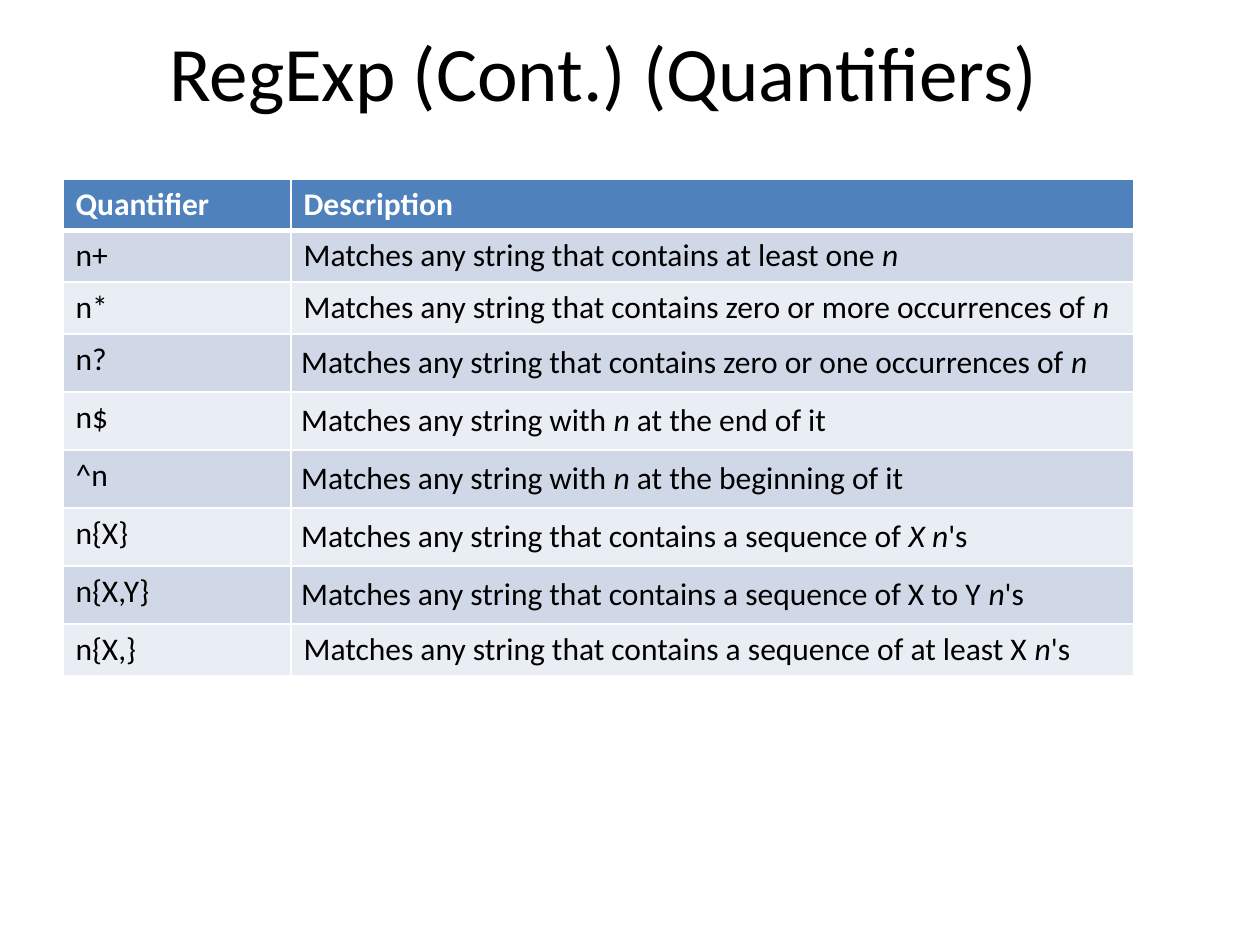
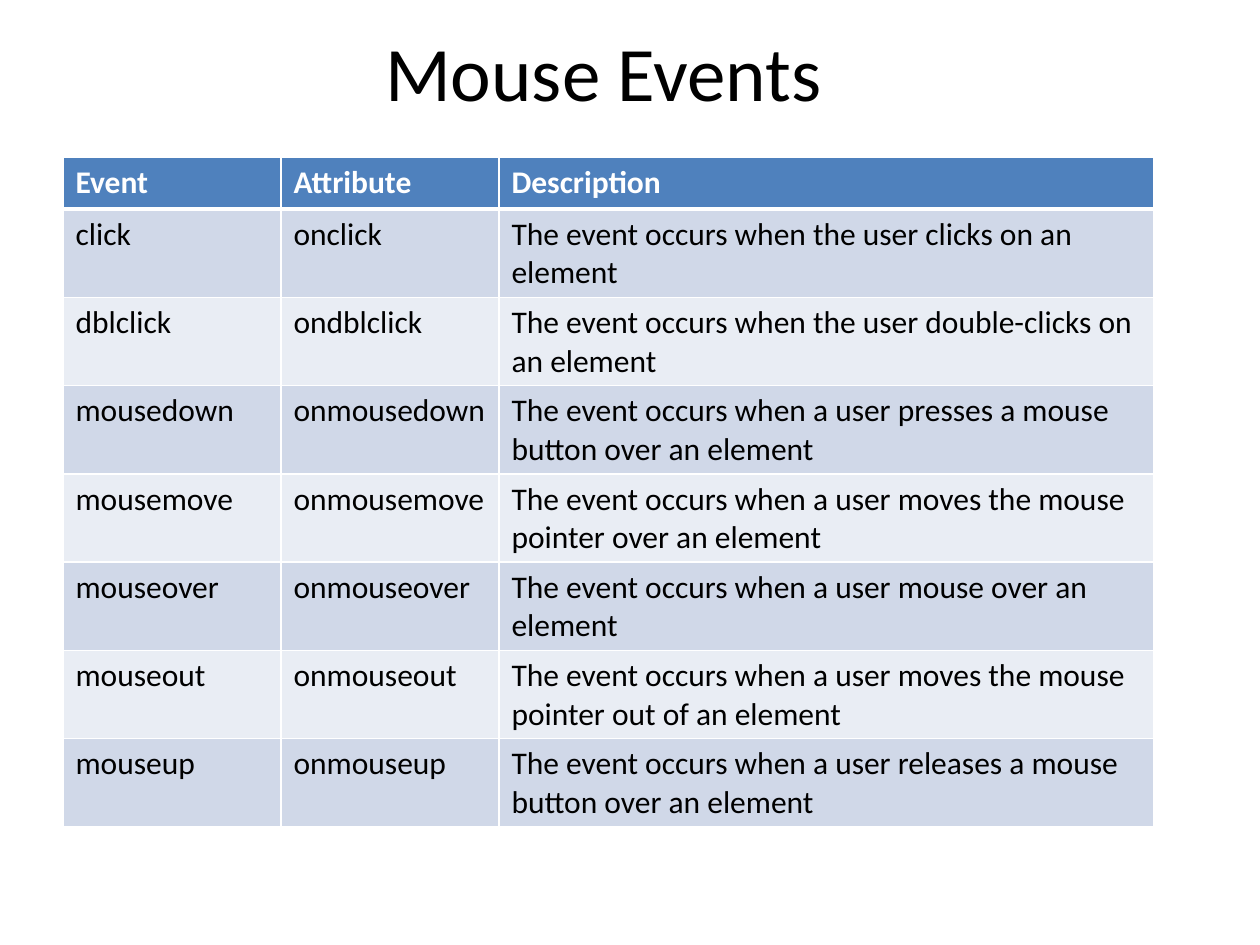
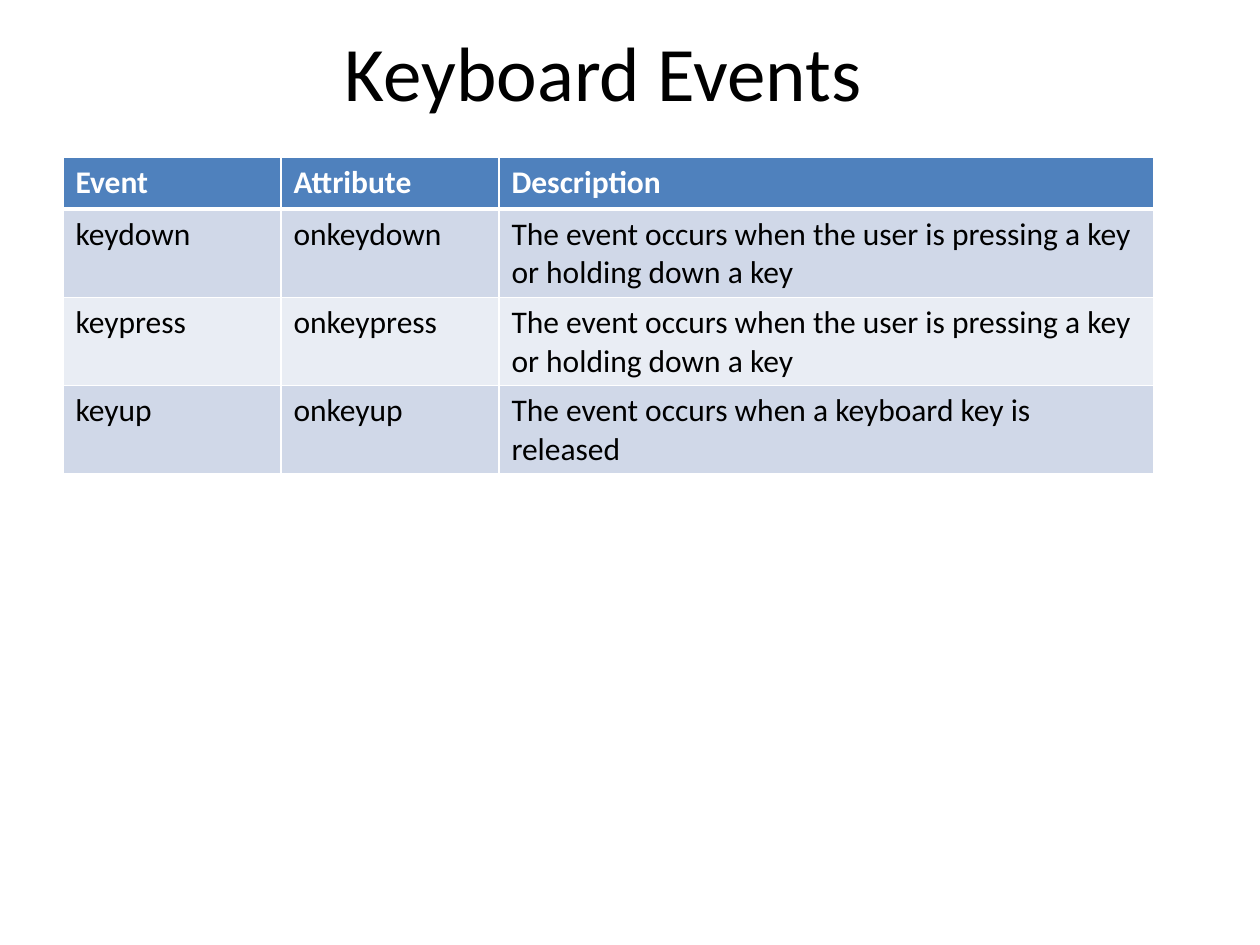
from lxml.etree import SubElement
from pptx import Presentation
from pptx.dml.color import RGBColor
from pptx.enum.text import MSO_ANCHOR as Anchor, PP_ALIGN as Align
from pptx.oxml.ns import qn
from pptx.util import Inches, Pt

FONT = "Calibri"
BLACK = RGBColor(0x00, 0x00, 0x00)
WHITE = RGBColor(0xFF, 0xFF, 0xFF)
HEADER_BLUE = RGBColor(0x4F, 0x81, 0xBD)
BANDS = [RGBColor(0xE9, 0xED, 0xF4), RGBColor(0xD0, 0xD8, 0xE8)]

WIDTH, HEIGHT = 10, 7.5
TABLE_LEFT = WIDTH / 20
ROW_HEIGHT = 0.41
PADDING = Inches(0.08)
EVENT_TOP = HEIGHT / 6
EVENT_COLUMNS = [1.73, 1.73, 5.2]
EVENT_HEADER = ("Event", "Attribute", "Description")

QUANTIFIERS = [
    ("Quantifier", "Description"),
    ("n+", "Matches any string that contains at least one _n_"),
    ("n*", "Matches any string that contains zero or more occurrences of _n_"),
    ("n?", "Matches any string that contains zero or one occurrences of _n_"),
    ("n$", "Matches any string with _n_ at the end of it"),
    ("^n", "Matches any string with _n_ at the beginning of it"),
    ("n{X}", "Matches any string that contains a sequence of _X n_'s"),
    ("n{X,Y}", "Matches any string that contains a sequence of X to Y _n_'s"),
    ("n{X,}", "Matches any string that contains a sequence of at least X _n_'s"),
]
MOUSE_EVENTS = [
    ("click", "the user clicks on an element"),
    ("dblclick", "the user double-clicks on an element"),
    ("mousedown", "a user presses a mouse button over an element"),
    ("mousemove", "a user moves the mouse pointer over an element"),
    ("mouseover", "a user mouse over an element"),
    ("mouseout", "a user moves the mouse pointer out of an element"),
    ("mouseup", "a user releases a mouse button over an element"),
]
KEYBOARD_EVENTS = [
    ("keydown", "the user is pressing a key or holding down a key"),
    ("keypress", "the user is pressing a key or holding down a key"),
    ("keyup", "a keyboard key is released"),
]
mouse_rows, keyboard_rows = [
    [EVENT_HEADER]
    + [(name, f"on{name}", f"The event occurs when {cause}") for name, cause in events]
    for events in (MOUSE_EVENTS, KEYBOARD_EVENTS)
]

SLIDES = [
    ("RegExp (Cont.) (Quantifiers)", 1.42, [1.81, 6.69], QUANTIFIERS, range(3, 8)),
    ("Mouse Events", EVENT_TOP, EVENT_COLUMNS, mouse_rows, ()),
    ("Keyboard Events", EVENT_TOP, EVENT_COLUMNS, keyboard_rows, ()),
]


def add_span(para, text, size, color, bold=False, italic=False):
    span = para.add_run()
    span.text = text
    font = span.font
    font.name, font.size = FONT, Pt(size)
    font.bold, font.italic = bold, italic
    font.color.rgb = color


def add_border(cell, side, points):
    properties = cell._tc.get_or_add_tcPr()
    line = SubElement(properties, qn(f"a:{side}"), w=str(Pt(points)))
    fill = SubElement(line, qn("a:solidFill"))
    SubElement(fill, qn("a:srgbClr"), val=str(WHITE))


deck = Presentation()
deck.slide_width, deck.slide_height = Inches(WIDTH), Inches(HEIGHT)

for title, top, columns, rows, padded_rows in SLIDES:
    page = deck.slides.add_slide(deck.slide_layouts[6])
    box = page.shapes.add_textbox(0, Inches(0.12), Inches(9.58), Inches(0.88))
    frame = box.text_frame
    frame.word_wrap = True
    frame.vertical_anchor = Anchor.MIDDLE
    para = frame.paragraphs[0]
    para.alignment = Align.CENTER
    add_span(para, title, 44, BLACK)

    table = page.shapes.add_table(
        len(rows), len(columns), Inches(TABLE_LEFT), Inches(top),
        Inches(sum(columns)), Inches(ROW_HEIGHT * len(rows)),
    ).table
    for column, width in zip(table.columns, columns):
        column.width = Inches(width)

    for row_index, row in enumerate(rows):
        table.rows[row_index].height = Inches(ROW_HEIGHT)
        is_header = row_index == 0
        for column_index, text in enumerate(row):
            cell = table.cell(row_index, column_index)
            if row_index in padded_rows and column_index == 1:
                cell.margin_left = cell.margin_right = PADDING
                cell.margin_top = cell.margin_bottom = PADDING
            for side in ("lnL", "lnR"):
                add_border(cell, side, 1)
            if row_index != 1:
                add_border(cell, "lnT", 1)
            add_border(cell, "lnB", 3 if is_header else 1)
            cell.fill.solid()
            cell.fill.fore_color.rgb = HEADER_BLUE if is_header else BANDS[row_index % 2]
            para = cell.text_frame.paragraphs[0]
            for part_index, part in enumerate(text.split("_")):
                if part:
                    add_span(para, part, 18, WHITE if is_header else BLACK,
                             bold=is_header, italic=part_index % 2 == 1)

deck.save("out.pptx")
